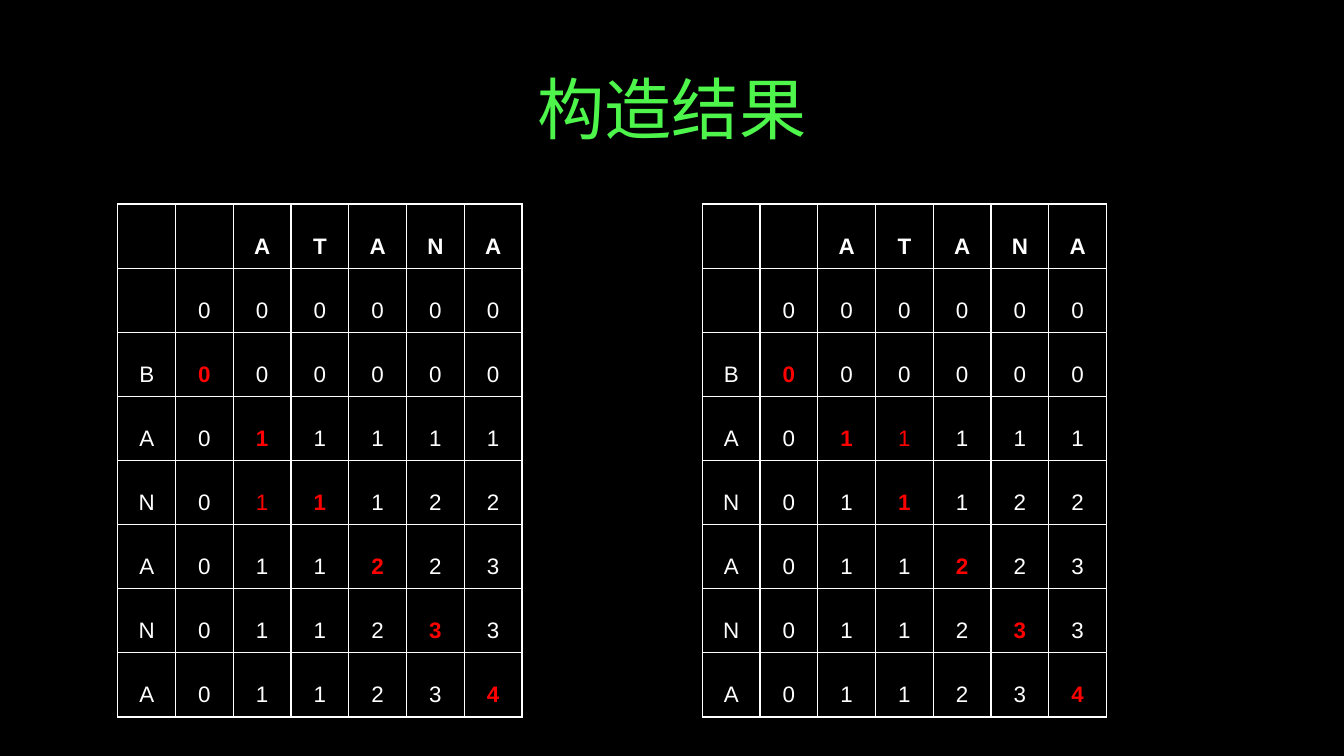
"""Build the slide showing two traced paths through an LCS score grid."""
from lxml import etree
from pptx import Presentation
from pptx.dml.color import RGBColor
from pptx.enum.text import MSO_ANCHOR, PP_ALIGN
from pptx.oxml.ns import qn
from pptx.util import Cm, Pt

CENTER = PP_ALIGN.CENTER
MIDDLE = MSO_ANCHOR.MIDDLE
BLACK, WHITE, GREEN, RED = "000000", "FFFFFF", "4EF64C", "FF0000"
BORDER_TAGS = ("a:lnL", "a:lnR", "a:lnT", "a:lnB")

SCORES = (
    ("", "", "A", "T", "A", "N", "A"),
    ("", "0", "0", "0", "0", "0", "0"),
    ("B", "0", "0", "0", "0", "0", "0"),
    ("A", "0", "1", "1", "1", "1", "1"),
    ("N", "0", "1", "1", "1", "2", "2"),
    ("A", "0", "1", "1", "2", "2", "3"),
    ("N", "0", "1", "1", "2", "3", "3"),
    ("A", "0", "1", "1", "2", "3", "4"),
)
DIAGONAL = {(row, row - 1) for row in range(2, len(SCORES))}
DETOURS = ((2.97, (4, 2)), (17.7, (3, 3)))


def style_text(paragraph, font_name, size, color, bold, spacing):
    """Centre a paragraph and format its runs."""
    paragraph.alignment = CENTER
    paragraph.line_spacing = spacing
    for run in paragraph.runs:
        run.font.name = font_name
        run.font.size = Pt(size)
        run.font.bold = bold
        run.font.color.rgb = RGBColor.from_string(color)


def add_borders(cell, color):
    """Draw a one-point line on all four sides of a cell."""
    properties = cell._tc.get_or_add_tcPr()
    for position, tag in enumerate(BORDER_TAGS):
        line = etree.Element(qn(tag), w=str(Pt(1)))
        fill = etree.SubElement(line, qn("a:solidFill"))
        etree.SubElement(fill, qn("a:srgbClr"), val=color)
        properties.insert(position, line)


prs = Presentation()
prs.slide_width = Cm(33.87)
prs.slide_height = Cm(19.05)
slide = prs.slides.add_slide(prs.slide_layouts[5])
slide.background.fill.solid()
slide.background.fill.fore_color.rgb = RGBColor.from_string(BLACK)

title = slide.shapes.title
title.left, title.top = Cm(2.33), Cm(1.01)
title.width, title.height = Cm(29.21), Cm(3.68)
title.text_frame.text = "构造结果"
title.text_frame.vertical_anchor = MIDDLE
style_text(title.text_frame.paragraphs[0], "Calibri", 48, GREEN, False, 0.9)

for left, detour in DETOURS:
    grid = slide.shapes.add_table(
        len(SCORES), len(SCORES[0]), Cm(left), Cm(5.14), Cm(10.19), Cm(12.93)
    ).table
    grid.first_row = False
    grid.horz_banding = False
    for row, scores in enumerate(SCORES):
        for column, score in enumerate(scores):
            cell = grid.cell(row, column)
            cell.fill.background()
            add_borders(cell, WHITE)
            if not score:
                continue
            on_diagonal = (row, column) in DIAGONAL
            on_path = on_diagonal or (row, column) == detour
            cell.text_frame.text = score
            style_text(
                cell.text_frame.paragraphs[0], "Arial", 16,
                RED if on_path else WHITE, row == 0 or on_diagonal, 2.0,
            )

prs.save("out.pptx")
